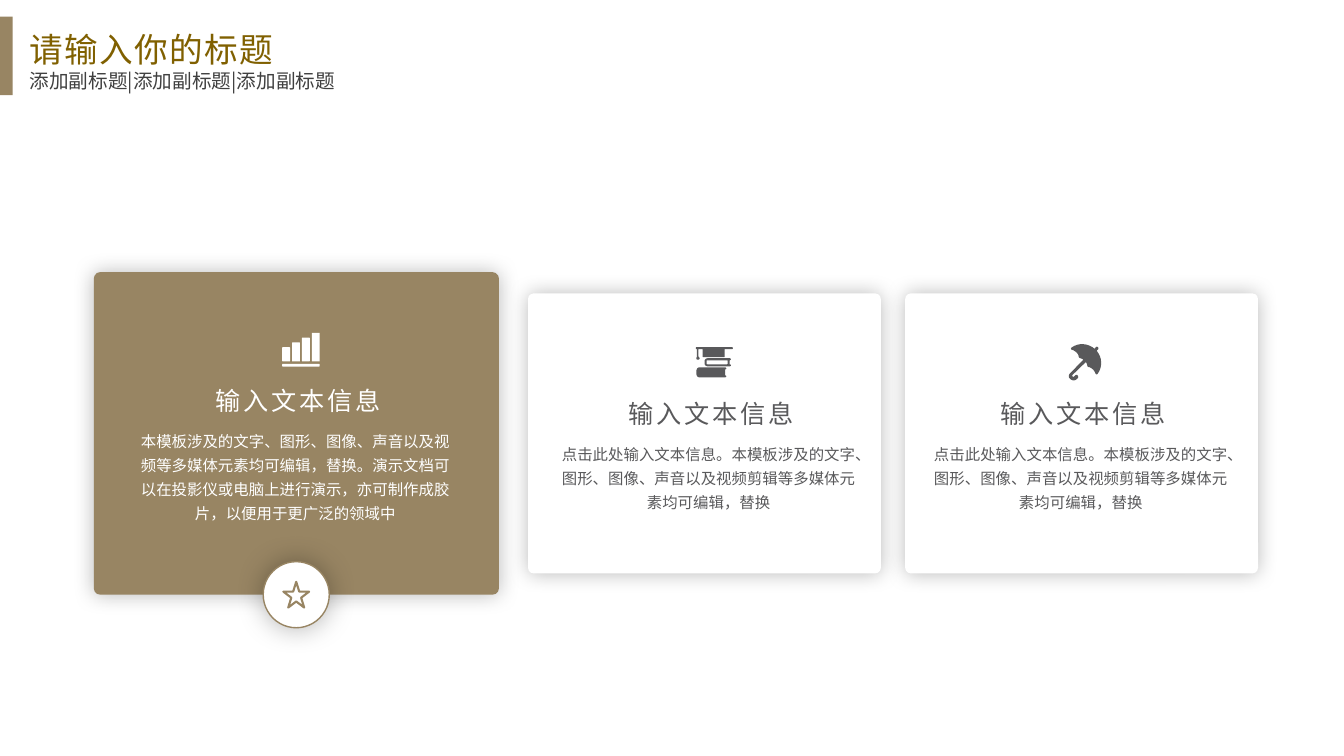
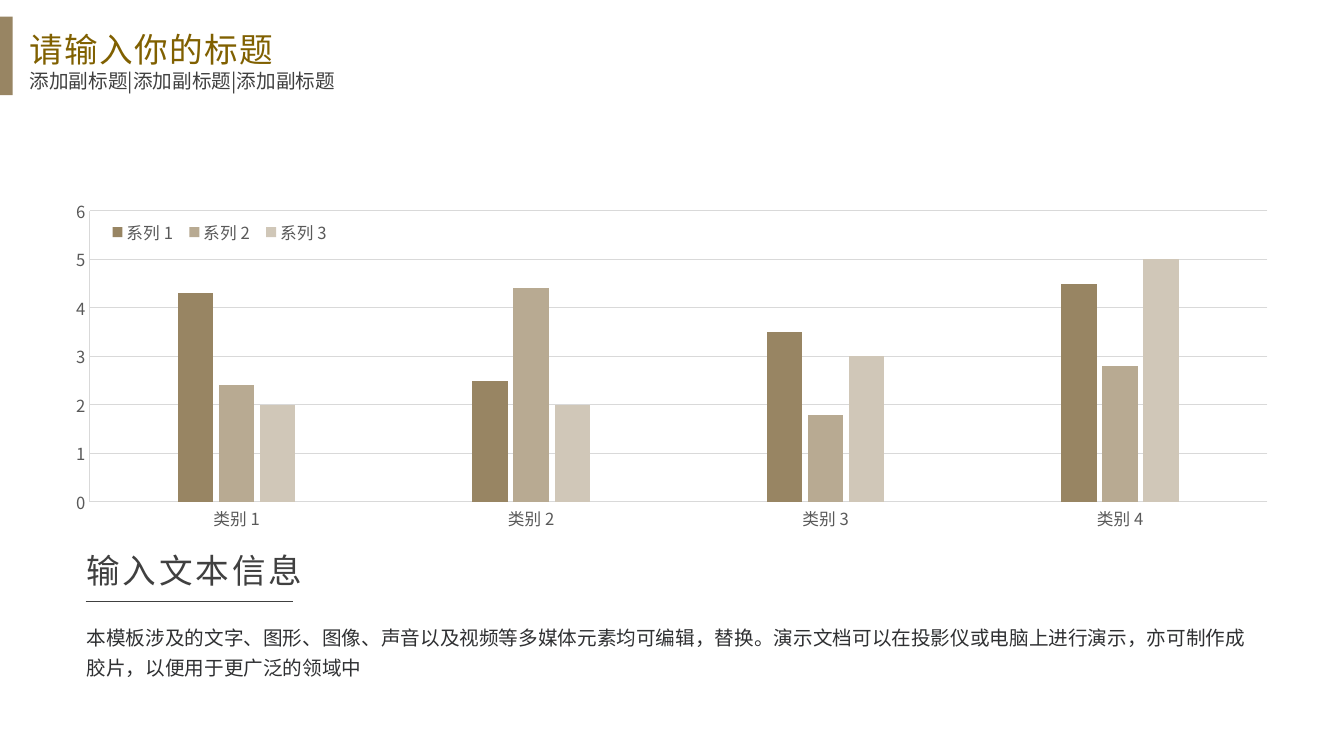
import dataclasses

import lxml.etree
import pptx
import pptx.chart.data
import pptx.dml.color
import pptx.enum.chart
import pptx.enum.lang
import pptx.enum.shapes
import pptx.enum.text
import pptx.oxml.ns
import pptx.util

SHAPE = pptx.enum.shapes.MSO_SHAPE
ALIGN = pptx.enum.text.PP_ALIGN
qn = pptx.oxml.ns.qn

COLUMNS, ROWS = 48, 27
CELL = pptx.util.Inches(7.5) / ROWS
ICON_UNIT = pptx.util.Inches(0.001)


@dataclasses.dataclass(frozen=True)
class Theme:
    font: str = "Noto Sans CJK SC"
    brand: str = "988563"
    brand_mid: str = "B8AA92"
    brand_light: str = "D0C7B8"
    title: str = "806000"
    dark: str = "404040"
    prose: str = "2F3032"
    card_ink: str = "59595B"
    label: str = "595959"
    rule: str = "D9D9D9"
    white: str = "FFFFFF"
    title_size: float = 24
    subtitle_size: float = 14
    card_title_size: float = 18
    card_body_size: float = 11
    label_size: float = 11.9


THEME = Theme()


def grid(cells):
    return pptx.util.Emu(round(cells * CELL))


def rgb(code):
    return pptx.dml.color.RGBColor.from_string(code)


def write(frame, text, *, size, color, align=ALIGN.LEFT, leading=1.0, tracking=0):
    """Fill a text frame with one unbulleted paragraph; tracking is in points."""
    frame.word_wrap = True
    frame.auto_size = pptx.enum.text.MSO_AUTO_SIZE.NONE
    frame.vertical_anchor = pptx.enum.text.MSO_ANCHOR.TOP
    para = frame.paragraphs[0]
    properties = para._p.get_or_add_pPr()
    properties.set("marL", "0")
    properties.set("indent", "0")
    lxml.etree.SubElement(properties, qn("a:buNone"))
    para.alignment = align
    para.line_spacing = leading
    para.space_before = pptx.util.Pt(0)
    span = para.add_run()
    span.text = text
    span.font.size = pptx.util.Pt(size)
    span.font.color.rgb = rgb(color)
    span.font.name = THEME.font
    span.font.language_id = pptx.enum.lang.MSO_LANGUAGE_ID.SIMPLIFIED_CHINESE
    run_properties = span._r.get_or_add_rPr()
    run_properties.set("spc", str(round(tracking * 100)))
    east_asian = lxml.etree.SubElement(run_properties, qn("a:ea"))
    east_asian.set("typeface", THEME.font)


def chart_layout(left, top, width, height, inner=False):
    """Make a manual chart layout from shares of the chart's size."""
    layout = lxml.etree.Element(qn("c:layout"))
    manual = lxml.etree.SubElement(layout, qn("c:manualLayout"))
    settings = [("layoutTarget", "inner")] if inner else []
    settings += [("xMode", "edge"), ("yMode", "edge"),
                 ("x", left), ("y", top), ("w", width), ("h", height)]
    for name, value in settings:
        lxml.etree.SubElement(manual, qn("c:" + name)).set("val", str(value))
    return layout


def flatten(contour, steps=8):
    """Turn line points (x, y) and Bezier steps (six numbers) into points."""
    points = [contour[0]]
    for step in contour[1:]:
        if len(step) == 2:
            points.append(step)
            continue
        x0, y0 = points[-1]
        x1, y1, x2, y2, x3, y3 = step
        for index in range(1, steps + 1):
            t = index / steps
            a, b, c, d = (1 - t) ** 3, 3 * t * (1 - t) ** 2, 3 * t * t * (1 - t), t ** 3
            points.append((a * x0 + b * x1 + c * x2 + d * x3,
                           a * y0 + b * y1 + c * y2 + d * y3))
    return [(round(x * 10), round(y * 10)) for x, y in points]


def rounded(left, top, right, bottom, r=1.2):
    return [(left + r, top), (right - r, top), (right, top, right, top, right, top + r),
            (right, bottom - r), (right, bottom, right, bottom, right - r, bottom),
            (left + r, bottom), (left, bottom, left, bottom, left, bottom - r),
            (left, top + r), (left, top, left, top, left + r, top)]


# Icon contours, in hundredths of an inch from the icon's top left corner.
BARS = [rounded(9.8 * i, 14.5 - 4.8 * i, 9.8 * i + 7.8, 28.5) for i in range(4)]
BARS.append(rounded(0, 31, 37.2, 33.6))
BOOKS = [
    [(4, 20), (29, 20), (31, 20, 31, 22, 29.5, 22), (29.5, 28),
     (31, 28, 31, 30, 29, 30), (4, 30), (2.5, 30, 1, 28.5, 1, 27), (1, 23),
     (1, 21.5, 2.5, 20, 4, 20)],
    [(12, 11), (34, 11), (35.5, 11, 35.5, 13, 34, 13), (34, 17),
     (35.5, 17, 35.5, 19, 34, 19), (12, 19), (10, 19, 9, 17.5, 9, 16), (9, 14),
     (9, 12.5, 10, 11, 12, 11)],
    rounded(11, 13, 32, 17),
    [(1, 0), (36, 0), (37.5, 0, 37.5, 2, 36, 2), (29, 2), (29, 9), (29, 10, 28, 10, 28, 10),
     (8, 10), (7, 10, 7, 9, 7, 9), (7, 2), (3, 2), (3, 9.5),
     (5, 11, 4, 12.5, 2.5, 12.5), (0.5, 12.5, 0.5, 10.5, 1.5, 9.5),
     (1.5, 2), (0, 2, 0, 0, 1, 0)],
]
UMBRELLA = [[
    (28, 8), (29, 7), (30, 6, 30, 5, 29.2, 4.5), (28.5, 3.7, 27.5, 4, 27, 4.6), (26, 6),
    (19, 0.2, 10, 0, 3, 4.8), (2.2, 5.5, 2.5, 6.8, 3.6, 7), (7, 8, 10, 11, 10.2, 14),
    (10.5, 15.5, 13, 15.5, 14.8, 16.8), (2, 30), (-0.5, 32, 0, 34.5, 1.8, 36),
    (4, 37.8, 6.5, 37.8, 8.3, 36), (9.5, 34.8), (10.5, 33.5, 8.5, 31, 7, 32.2),
    (5.8, 33.5), (4.5, 34.5, 3, 33, 4, 32), (17.2, 19.2), (18.3, 20.5, 18.5, 22, 18.9, 23.2),
    (19.2, 24.3, 20, 24, 20.5, 24.2), (23.5, 25, 26, 28, 26.8, 30.5),
    (27.2, 31.6, 28.5, 31.6, 29, 30.8), (34, 24, 33.5, 14.5, 28, 8),
]]


class SlideBuilder:
    """Adds elements to the current slide; lengths are grid columns and rows."""

    def __init__(self, deck):
        self.deck = deck
        self.page = None

    def place(self, item, left, top, width, height):
        item.left, item.top = grid(left), grid(top)
        item.width, item.height = grid(width), grid(height)

    def new_page(self, title, subtitle):
        self.page = self.deck.slides.add_slide(self.deck.slide_layouts[1])
        self.shape(SHAPE.RECTANGLE, 0, 0.6, 0.45, 2.8, fill=THEME.brand)
        heading, subheading = self.page.shapes.title, self.page.placeholders[1]
        self.place(heading, 0.7, 0.58, 14.9, 2.1)
        write(heading.text_frame, title, size=THEME.title_size, color=THEME.title,
              leading=1.2, tracking=1)
        self.place(subheading, 0.7, 2.27, 15.9, 1.22)
        write(subheading.text_frame, subtitle, size=THEME.subtitle_size,
              color=THEME.dark, align=ALIGN.JUSTIFY)

    def paint(self, shape, fill=None, line=None, line_width=1):
        shape.shadow.inherit = False
        if fill:
            shape.fill.solid()
            shape.fill.fore_color.rgb = rgb(fill)
        else:
            shape.fill.background()
        if line:
            shape.line.color.rgb = rgb(line)
            shape.line.width = pptx.util.Pt(line_width)
        else:
            shape.line.fill.background()

    def shape(self, kind, left, top, width, height, **style):
        shape = self.page.shapes.add_shape(
            kind, grid(left), grid(top), grid(width), grid(height))
        self.paint(shape, **style)
        return shape

    def glow(self, shape, blur, opacity):
        """Add a centred black shadow; blur in points, opacity in percent."""
        effects = shape._element.spPr.find(qn("a:effectLst"))
        shadow = lxml.etree.SubElement(effects, qn("a:outerShdw"))
        shadow.set("blurRad", str(pptx.util.Pt(blur)))
        shadow.set("algn", "ctr")
        shadow.set("rotWithShape", "0")
        color = lxml.etree.SubElement(shadow, qn("a:srgbClr"))
        color.set("val", "000000")
        lxml.etree.SubElement(color, qn("a:alpha")).set("val", str(opacity * 1000))

    def text(self, text, left, top, width, height, **style):
        box = self.page.shapes.add_textbox(
            grid(left), grid(top), grid(width), grid(height))
        write(box.text_frame, text, **style)

    def icon(self, contours, left, top, color):
        outlines = [flatten(contour) for contour in contours]
        builder = self.page.shapes.build_freeform(*outlines[0][0], scale=ICON_UNIT)
        for index, points in enumerate(outlines):
            if index:
                builder.move_to(*points[0])
            builder.add_line_segments(points[1:], close=True)
        self.paint(builder.convert_to_shape(grid(left), grid(top)), fill=color)

    def panel(self, left, top, width, height, fill):
        panel = self.shape(SHAPE.ROUNDED_RECTANGLE, left, top, width, height, fill=fill)
        panel.adjustments[0] = 0.02
        self.glow(panel, blur=15, opacity=27)

    def card_text(self, title, body, center, top, width, height, color):
        self.text(title, center - 5.65, top, 11.3, 1.55, size=THEME.card_title_size,
                  color=color, align=ALIGN.CENTER, leading=1.2, tracking=2)
        self.text(body, center - 0.1 - width / 2, top + 1.69, width, height,
                  size=THEME.card_body_size, color=color, align=ALIGN.CENTER, leading=1.3)

    def badge(self, center, middle):
        """Put a starred disc around a point."""
        size, star = 2.36, 0.92
        disc = self.shape(SHAPE.OVAL, center - size / 2, middle - size / 2, size, size,
                          fill=THEME.white, line=THEME.brand)
        self.glow(disc, blur=20, opacity=30)
        self.shape(SHAPE.STAR_5_POINT, center - star / 2, middle - star / 2, star, star,
                   line=THEME.brand, line_width=1.5)

    def rule(self, left, right, top):
        line = self.page.shapes.add_connector(
            pptx.enum.shapes.MSO_CONNECTOR.STRAIGHT,
            grid(left), grid(top), grid(right), grid(top))
        line.line.color.rgb = rgb(THEME.dark)
        line.line.width = pptx.util.Pt(0.5)
        lxml.etree.SubElement(line._element.spPr, qn("a:effectLst"))

    def column_chart(self, categories, series, left, top, width, height):
        data = pptx.chart.data.CategoryChartData()
        data.categories = categories
        for name, values, _ in series:
            data.add_series(name, values)
        chart = self.page.shapes.add_chart(
            pptx.enum.chart.XL_CHART_TYPE.COLUMN_CLUSTERED,
            grid(left), grid(top), grid(width), grid(height), data).chart
        chart.has_title = False
        chart.font.name = THEME.font
        chart.font.size = pptx.util.Pt(THEME.label_size)
        chart.font.color.rgb = rgb(THEME.label)
        plot = chart.plots[0]
        plot.gap_width, plot.overlap = 500, -16
        plot.vary_by_categories = False
        for bars, (_, _, color) in zip(plot.series, series):
            bars.format.fill.solid()
            bars.format.fill.fore_color.rgb = rgb(color)
        scale = chart.value_axis
        scale.minimum_scale, scale.maximum_scale, scale.major_unit = 0, 6, 1
        scale.has_major_gridlines = True
        for axis in (chart.category_axis, scale):
            axis.major_tick_mark = pptx.enum.chart.XL_TICK_MARK.NONE
        for item in (chart.category_axis, scale, scale.major_gridlines):
            item.format.line.color.rgb = rgb(THEME.rule)
            item.format.line.width = pptx.util.Pt(0.75)
        chart.has_legend = True
        chart.legend.position = pptx.enum.chart.XL_LEGEND_POSITION.BOTTOM
        chart.legend.include_in_layout = False
        area = chart._chartSpace.chart.plotArea
        legend = chart.legend._element
        for parent in (area, legend):
            for layout in parent.findall(qn("c:layout")):
                parent.remove(layout)
        area.insert(0, chart_layout(0.03, 0.05, 0.95, 0.75, inner=True))
        legend.find(qn("c:legendPos")).addnext(chart_layout(0.04, 0.07, 0.19, 0.07))


TITLE = "请输入你的标题"
SUBTITLE = "添加副标题|添加副标题|添加副标题"
HEADING = "输入文本信息"
LONG_TEXT = ("本模板涉及的文字、图形、图像、声音以及视频等多媒体元素均可编辑，替换。"
             "演示文档可以在投影仪或电脑上进行演示，亦可制作成胶片，以便用于更广泛的领域中")
SHORT_TEXT = ("点击此处输入文本信息。本模板涉及的文字、图形、图像、声音以及视频剪辑等"
              "多媒体元素均可编辑，替换")


def cards_page(builder):
    builder.new_page(TITLE, SUBTITLE)
    builder.panel(3.35, 9.72, 14.47, 11.52, THEME.brand)
    builder.badge(10.58, 21.24)
    builder.card_text(HEADING, LONG_TEXT, 10.65, 13.36, 12.1, 3.74, THEME.white)
    builder.icon(BARS, 10.08, 11.88, THEME.white)
    for left, center, icon, icon_left, icon_top in (
            (18.86, 25.41, BOOKS, 24.84, 12.4), (32.33, 38.7, UMBRELLA, 38.16, 12.24)):
        builder.panel(left, 10.48, 12.6, 10, THEME.white)
        builder.card_text(HEADING, SHORT_TEXT, center, 13.82, 11.3, 2.88, THEME.card_ink)
        builder.icon(icon, icon_left, icon_top, THEME.card_ink)


def chart_page(builder):
    builder.new_page(TITLE, SUBTITLE)
    builder.column_chart(
        ["类别 1", "类别 2", "类别 3", "类别 4"],
        [("系列 1", (4.3, 2.5, 3.5, 4.5), THEME.brand),
         ("系列 2", (2.4, 4.4, 1.8, 2.8), THEME.brand_mid),
         ("系列 3", (2, 2, 3, 5), THEME.brand_light)],
        1.87, 6.84, 44.28, 13.86)
    builder.text(HEADING, 2.74, 19.19, 11.27, 1.94, size=THEME.title_size,
                 color=THEME.dark, leading=1.2, tracking=2)
    builder.rule(3.06, 10.48, 21.46)
    builder.text(LONG_TEXT, 2.74, 21.92, 42.48, 2.48, size=THEME.subtitle_size,
                 color=THEME.prose, leading=1.3)


def main():
    deck = pptx.Presentation()
    deck.slide_width, deck.slide_height = grid(COLUMNS), grid(ROWS)
    builder = SlideBuilder(deck)
    cards_page(builder)
    chart_page(builder)
    deck.save("out.pptx")


if __name__ == "__main__":
    main()
